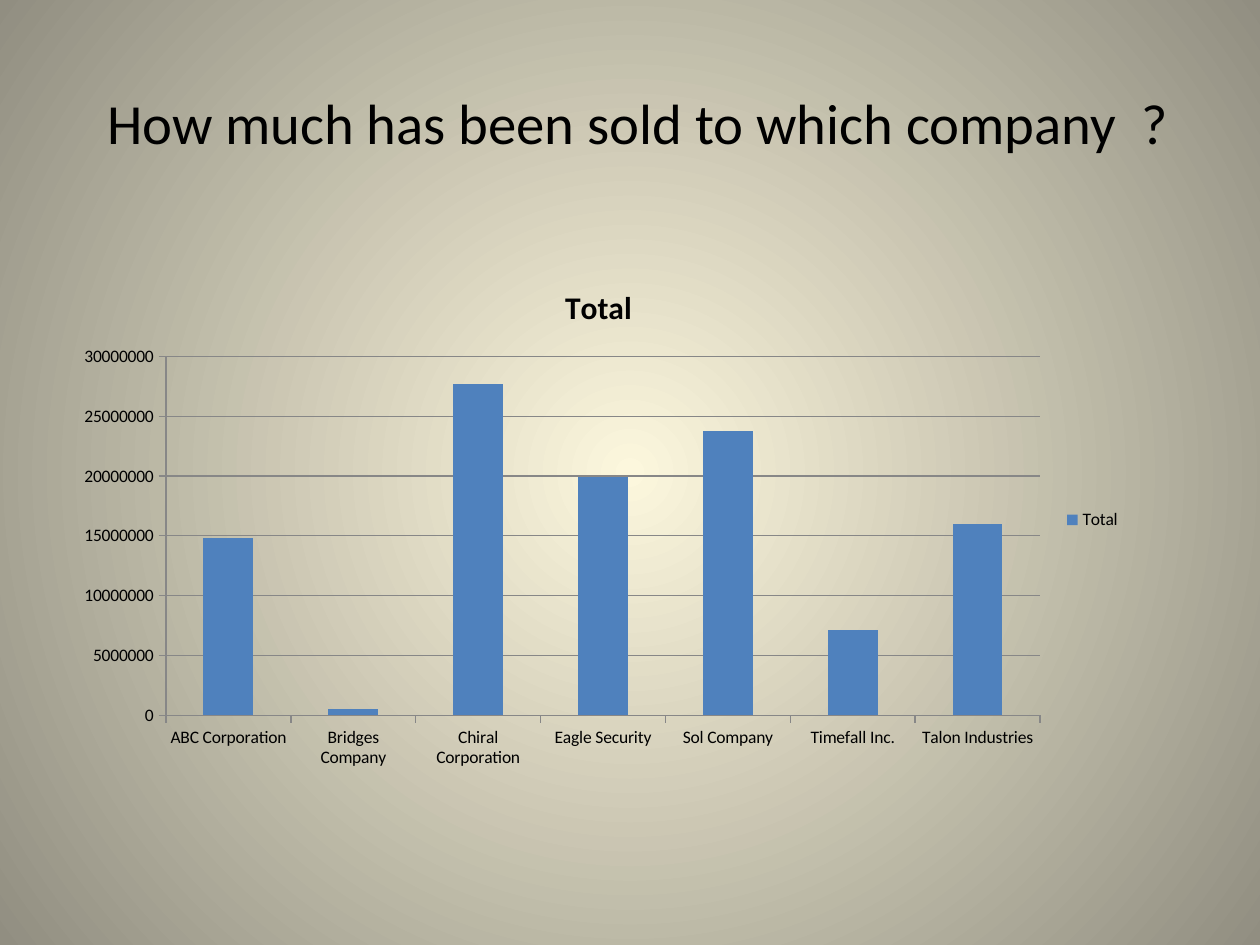
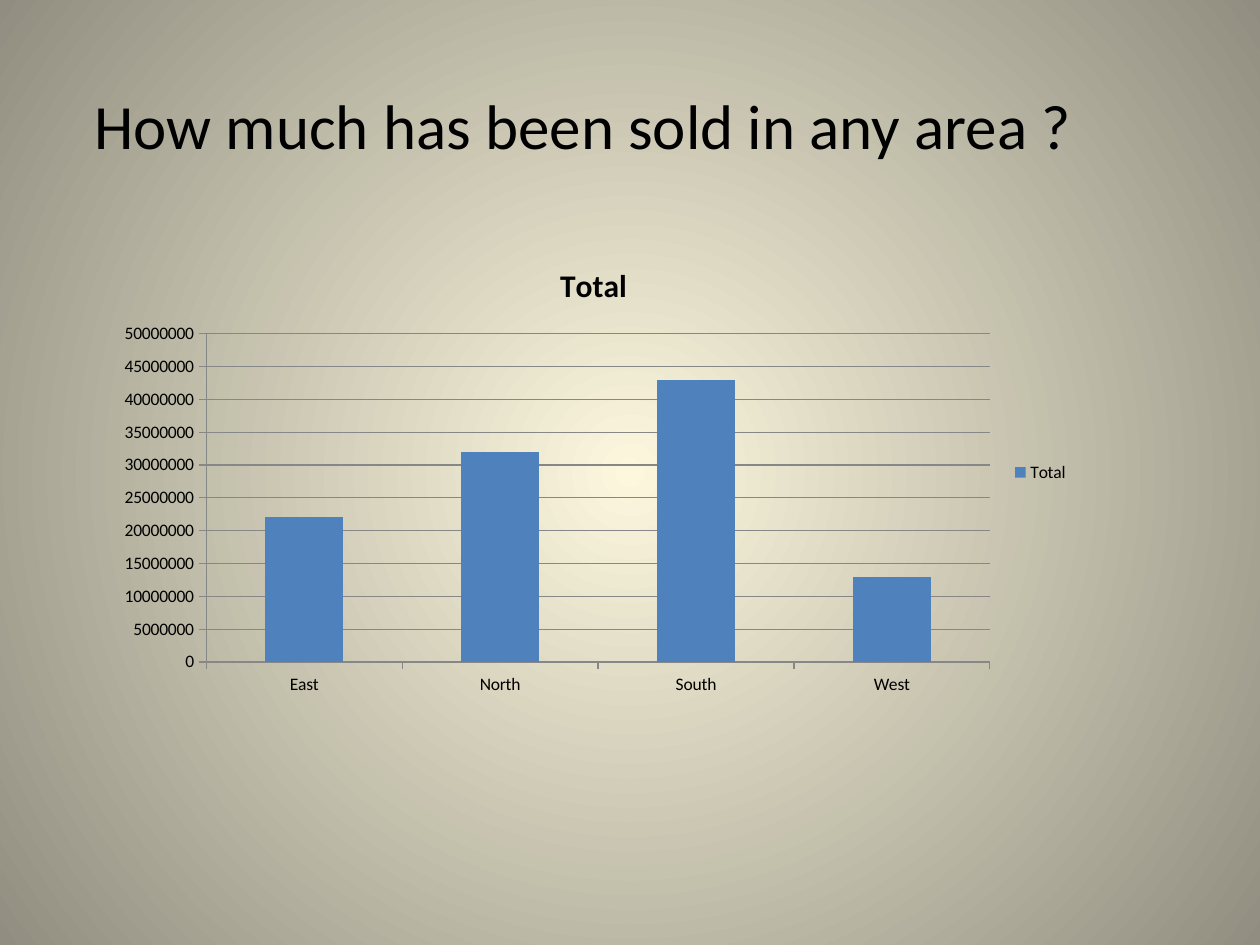
from lxml import etree
from pptx import Presentation
from pptx.chart.data import CategoryChartData
from pptx.dml.color import RGBColor
from pptx.enum import chart as ch, text
from pptx.oxml.ns import qn
from pptx.util import Cm, Pt

FONT = "Calibri"
BLACK = RGBColor(0x00, 0x00, 0x00)
CREAM = RGBColor(0xFC, 0xF7, 0xDD)
TAUPE = RGBColor(0x91, 0x8E, 0x81)
BLUE = RGBColor(0x4F, 0x81, 0xBD)
GRAY = RGBColor(0x87, 0x87, 0x87)

SLIDES = [
    {
        "title": [(" ", 39.6), ("How much has been sold to which company  ?", 32.4)],
        "title_box": (1.27, 0.76, 22.86, 3.18),
        "chart_box": (1.27, 5.29, 21.59, 10.38),
        "sales": {
            "ABC Corporation": 14800000,
            "Bridges Company": 500000,
            "Chiral Corporation": 27700000,
            "Eagle Security": 19900000,
            "Sol Company": 23800000,
            "Timefall Inc.": 7100000,
            "Talon Industries": 16000000,
        },
    },
    {
        "title": [("How much has been sold in any area ?", 36)],
        "title_box": (1.27, 0.76, 20.96, 3.48),
        "chart_box": (2.12, 4.87, 19.69, 9.31),
        "sales": {
            "East": 22000000,
            "North": 32000000,
            "South": 43000000,
            "West": 13000000,
        },
    },
]


def style_font(font, size, bold=False):
    font.name = FONT
    font.size = Pt(size)
    font.bold = bold
    font.color.rgb = BLACK


def set_background(master):
    fill = master.background.fill
    fill.gradient()
    for stop, color in zip(fill.gradient_stops, (CREAM, TAUPE)):
        stop.color.rgb = color
    grad = master.element.find(".//" + qn("p:bg") + "//" + qn("a:gradFill"))
    grad.remove(grad.find(qn("a:lin")))
    circle = etree.SubElement(grad, qn("a:path"), path="circle")
    etree.SubElement(circle, qn("a:fillToRect"), l="50000", t="50000", r="50000", b="50000")


def set_title(sp, runs, box):
    sp.left, sp.top, sp.width, sp.height = map(Cm, box)
    tf = sp.text_frame
    tf.word_wrap = True
    tf.auto_size = text.MSO_AUTO_SIZE.NONE
    tf.vertical_anchor = text.MSO_ANCHOR.MIDDLE
    p = tf.paragraphs[0]
    p.alignment = text.PP_ALIGN.CENTER
    for words, size in runs:
        r = p.add_run()
        r.text = words
        style_font(r.font, size)


def add_sales_chart(s, sales, box):
    data = CategoryChartData()
    data.categories = list(sales)
    data.add_series("Total", list(sales.values()))
    chart = s.shapes.add_chart(ch.XL_CHART_TYPE.COLUMN_CLUSTERED, *map(Cm, box), data).chart
    style_font(chart.font, 10)

    chart.has_title = True
    tf = chart.chart_title.text_frame
    tf.text = "Total"
    style_font(tf.paragraphs[0].runs[0].font, 18, bold=True)
    chart.chart_title.include_in_layout = False

    chart.has_legend = True
    chart.legend.position = ch.XL_LEGEND_POSITION.RIGHT
    chart.legend.include_in_layout = False

    chart.value_axis.has_major_gridlines = True
    for axis in (chart.category_axis, chart.value_axis):
        axis.major_tick_mark = ch.XL_TICK_MARK.OUTSIDE
        axis.minor_tick_mark = ch.XL_TICK_MARK.NONE
    for line in (chart.category_axis.format.line, chart.value_axis.format.line,
                 chart.value_axis.major_gridlines.format.line):
        line.color.rgb = GRAY
        line.width = Pt(0.75)

    plot = chart.plots[0]
    plot.gap_width = 150
    plot.vary_by_categories = False
    fill = plot.series[0].format.fill
    fill.solid()
    fill.fore_color.rgb = BLUE


def main():
    prs = Presentation()
    prs.slide_width, prs.slide_height = Cm(25.4), Cm(19.05)
    set_background(prs.slide_master)
    for content in SLIDES:
        s = prs.slides.add_slide(prs.slide_layouts.get_by_name("Title Only"))
        set_title(s.shapes.title, content["title"], content["title_box"])
        add_sales_chart(s, content["sales"], content["chart_box"])
    prs.save("out.pptx")


if __name__ == "__main__":
    main()
